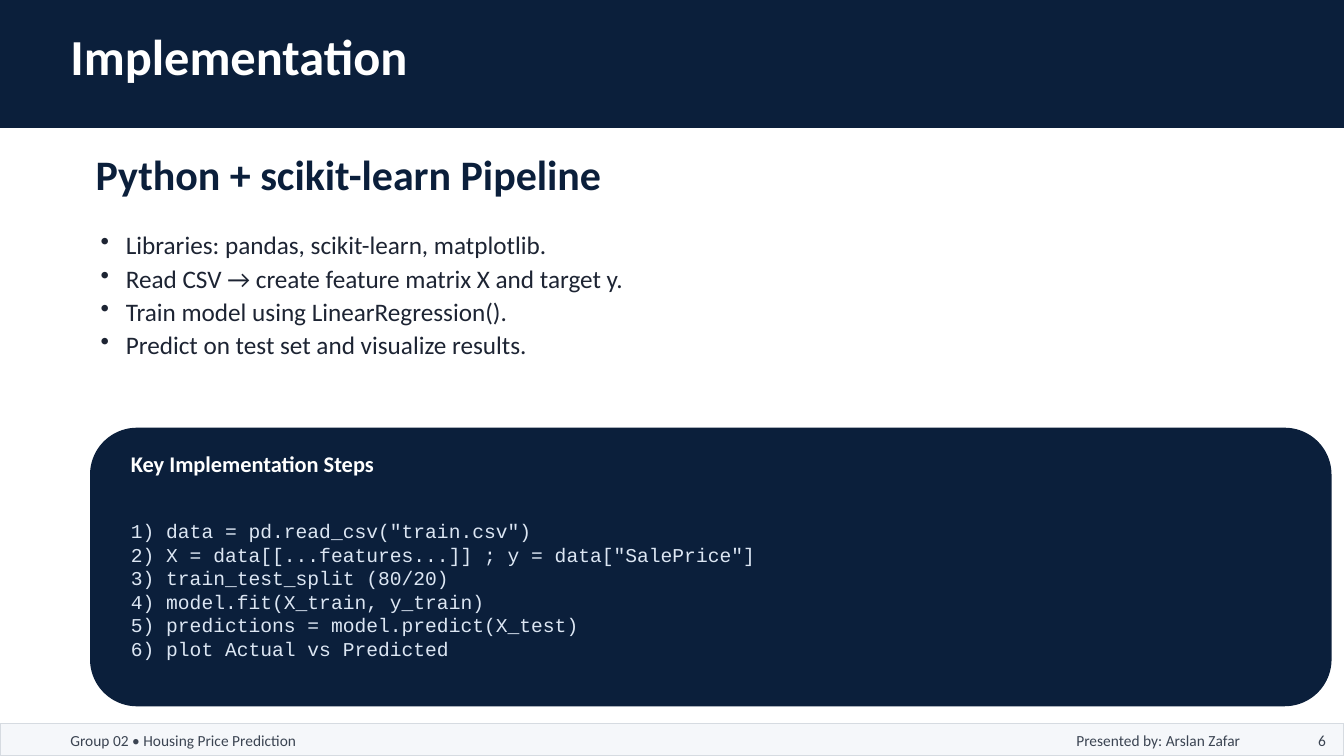
from lxml.etree import SubElement
from pptx import Presentation
from pptx.dml.color import RGBColor
from pptx.enum.shapes import MSO_SHAPE
from pptx.enum.text import MSO_ANCHOR, PP_ALIGN
from pptx.oxml.ns import qn
from pptx.util import Inches, Pt

W, H = 13.33, 7.5
NAVY, WHITE, INK, GREY = "0B1F3B", "FFFFFF", "1D2433", "3B4452"
PALE, RULE, CODE = "F5F7FA", "D6DBE1", "DCE6F3"

BULLETS = [
    "Libraries: pandas, scikit-learn, matplotlib.",
    "Read CSV → create feature matrix X and target y.",
    "Train model using LinearRegression().",
    "Predict on test set and visualize results.",
]
STEPS = [
    'data = pd.read_csv("train.csv")',
    'X = data[[...features...]] ; y = data["SalePrice"]',
    "train_test_split (80/20)",
    "model.fit(X_train, y_train)",
    "predictions = model.predict(X_test)",
    "plot Actual vs Predicted",
]


def rgb(value):
    """Turn a hex string into a colour."""
    return RGBColor.from_string(value)


def add_panel(s, box, fill, line, kind=MSO_SHAPE.RECTANGLE):
    """Draw a filled, outlined shape in the box."""
    sp = s.shapes.add_shape(kind, *map(Inches, box))
    sp.shadow.inherit = False
    sp.fill.solid()
    sp.fill.fore_color.rgb = rgb(fill)
    sp.line.color.rgb = rgb(line)
    sp.line.width = Pt(1)


def add_text(s, box, lines, size, color, bold=False, font="Calibri",
             align=PP_ALIGN.LEFT, anchor=MSO_ANCHOR.MIDDLE):
    """Write one paragraph per line in the box and return the paragraphs."""
    tf = s.shapes.add_textbox(*map(Inches, box)).text_frame
    tf.word_wrap = True
    tf.vertical_anchor = anchor
    for i, line in enumerate(lines):
        p = tf.add_paragraph() if i else tf.paragraphs[0]
        p.alignment = align
        r = p.add_run()
        r.text = line
        r.font.name, r.font.size, r.font.bold = font, Pt(size), bold
        r.font.color.rgb = rgb(color)
    return tf.paragraphs


def add_bullet(p, indent=0.25):
    """Give a paragraph a hanging bullet."""
    pPr = p._p.get_or_add_pPr()
    pPr.set("marL", str(Inches(indent)))
    pPr.set("indent", str(-Inches(indent)))
    SubElement(pPr, qn("a:buChar")).set("char", "•")


def add_header(s, x, y, w, h, title):
    """Draw the title band."""
    add_panel(s, (x, y, w, h), NAVY, NAVY)
    add_text(s, (x + 0.61, y + 0.4, w - 1.21, 0.35), [title], 36, WHITE, True)


def add_overview(s, x, y, w, h, heading, bullets):
    """Write a heading with its bullet list below."""
    add_text(s, (x, y, w, 0.6), [heading], 30, NAVY, True)
    top = 0.78
    for p in add_text(s, (x + 0.05, y + top, w + 0.2, h - top), bullets, 18, INK,
                      anchor=MSO_ANCHOR.TOP):
        p.line_spacing = 1.1
        add_bullet(p)


def add_steps(s, x, y, w, h, heading, steps):
    """Draw the rounded panel with its numbered code lines."""
    add_panel(s, (x, y, w, h), NAVY, NAVY, MSO_SHAPE.ROUNDED_RECTANGLE)
    left, width = x + 0.3, w - 0.3
    add_text(s, (left, y + 0.2, width, 0.3), [heading], 16, WHITE, True)
    lines = [f"{n}) {step}" for n, step in enumerate(steps, 1)]
    add_text(s, (left, y + 0.6, width, h - 0.75), lines, 14, CODE, font="Courier New")


def add_footer(s, x, y, w, h, group, presenter, number):
    """Draw the footer strip with its three labels."""
    add_panel(s, (x, y, w, h), PALE, RULE)
    labels = [
        (0.6, 8.2, group, PP_ALIGN.LEFT),
        (8.2, 4.2, presenter, PP_ALIGN.RIGHT),
        (12.65, 0.6, number, PP_ALIGN.RIGHT),
    ]
    for left, width, text, align in labels:
        add_text(s, (x + left, y + 0.04, width, 0.25), [text], 11, GREY, align=align)


def main():
    """Build the slide and save it."""
    prs = Presentation()
    prs.slide_width, prs.slide_height = Inches(W), Inches(H)
    s = prs.slides.add_slide(prs.slide_layouts[6])
    add_header(s, -0.01, -0.03, W + 0.08, 1.29, "Implementation")
    add_overview(s, 0.85, 1.42, 11.8, 2.52, "Python + scikit-learn Pipeline", BULLETS)
    add_steps(s, 0.9, 4.25, 12.3, 2.75, "Key Implementation Steps", STEPS)
    add_footer(s, 0, H - 0.32, W, 0.32, "Group 02 • Housing Price Prediction",
               "Presented by: Arslan Zafar", "6")
    prs.save("out.pptx")


if __name__ == "__main__":
    main()
